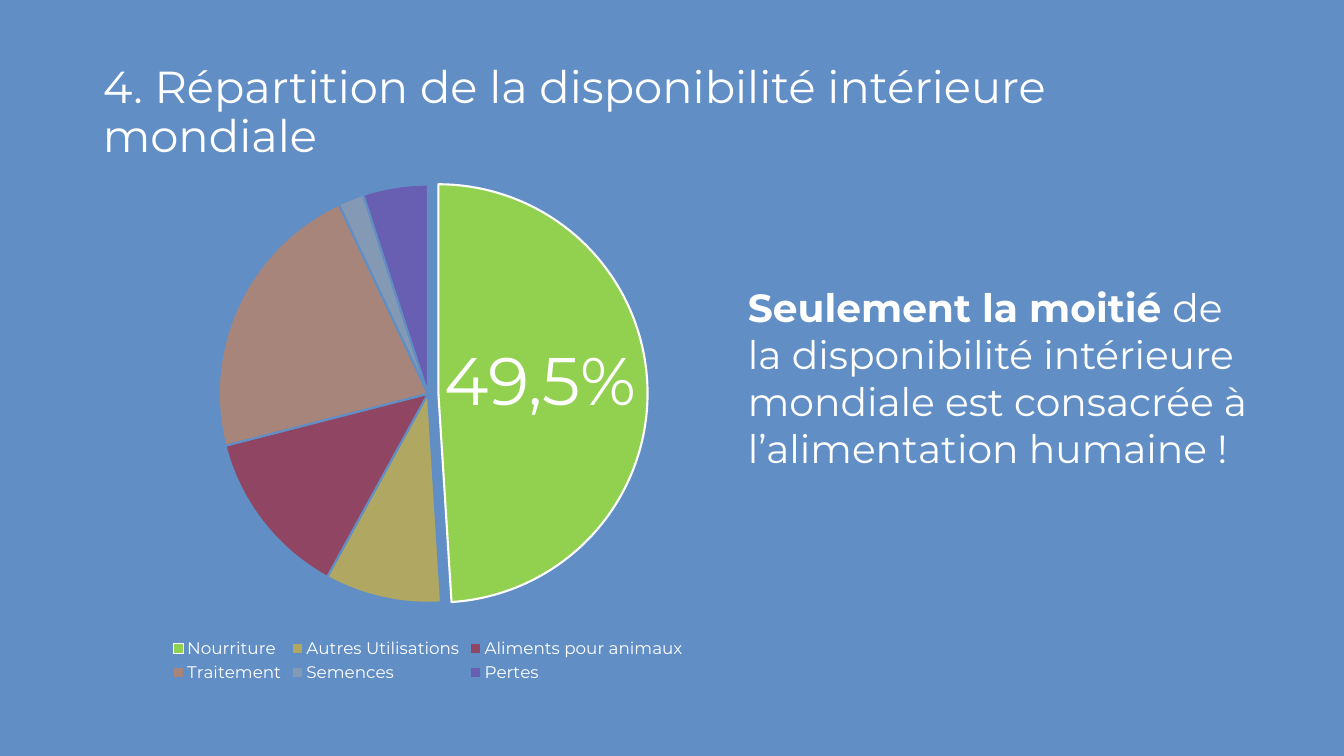
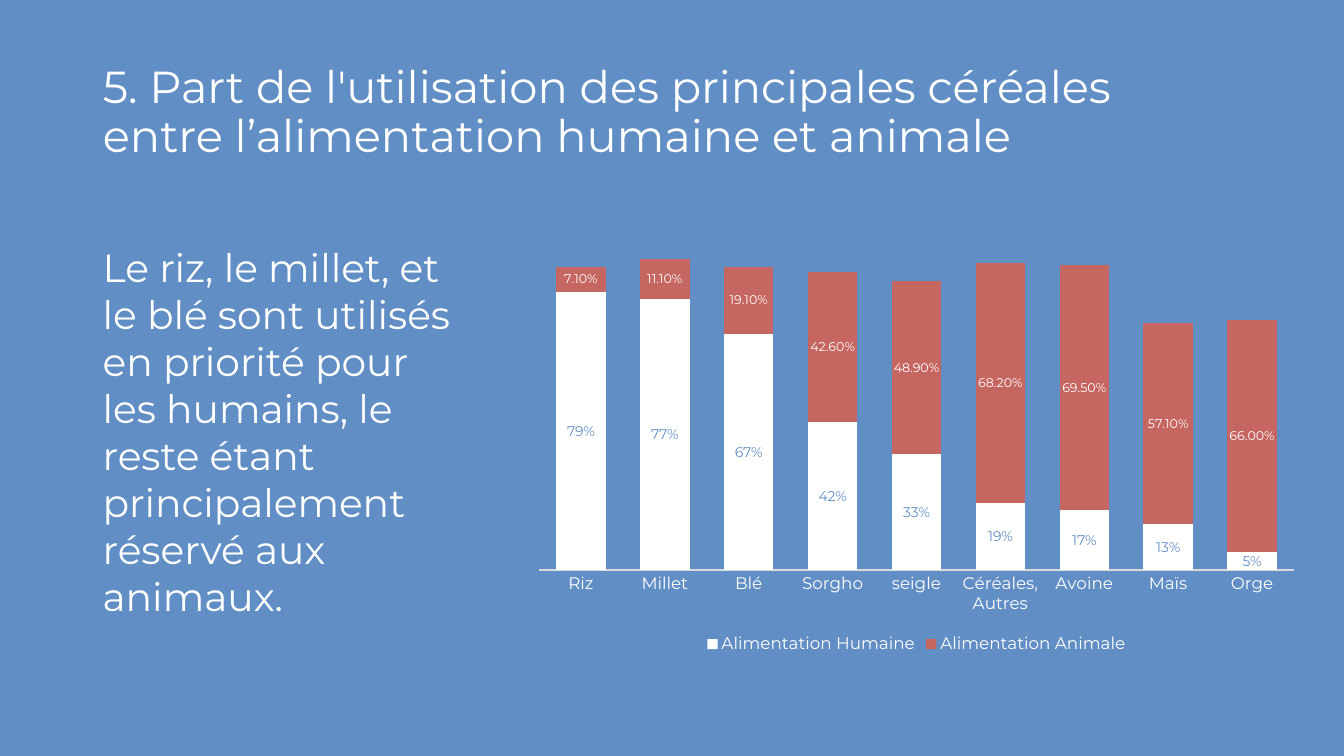
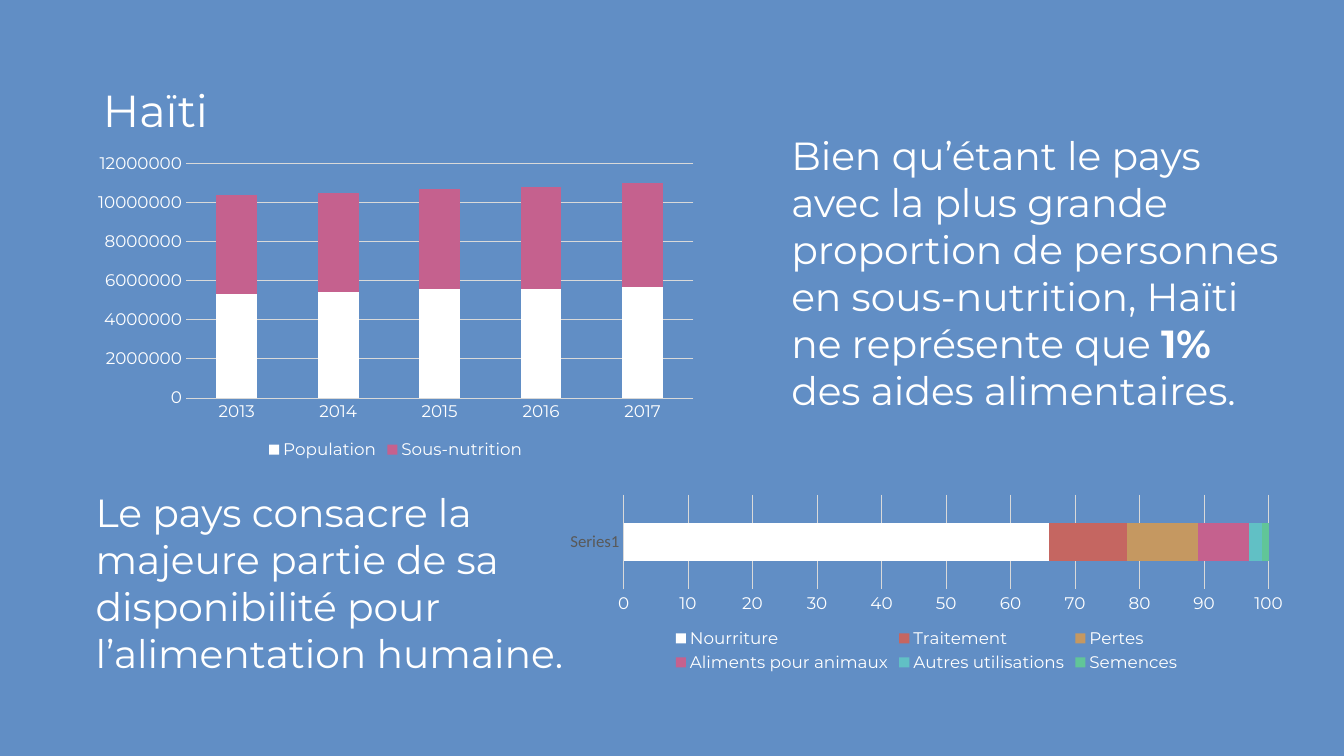
"""Build three slides on the use of the world food supply."""
from dataclasses import dataclass
from typing import Optional

from lxml.etree import SubElement
from pptx import Presentation
from pptx.chart.chart import Chart
from pptx.chart.data import CategoryChartData
from pptx.dml.color import RGBColor
from pptx.enum.chart import XL_CHART_TYPE as ChartType
from pptx.enum.chart import XL_LEGEND_POSITION as LegendPosition
from pptx.enum.chart import XL_TICK_MARK as TickMark
from pptx.enum.text import MSO_ANCHOR, MSO_AUTO_SIZE, PP_ALIGN
from pptx.oxml.ns import qn
from pptx.slide import Slide
from pptx.util import Inches, Pt

BLUE = RGBColor(0x61, 0x8E, 0xC5)
WHITE = RGBColor(0xFF, 0xFF, 0xFF)
BLACK = RGBColor(0x00, 0x00, 0x00)
RULE_GREY = RGBColor(0xD9, 0xD9, 0xD9)
TEXT_GREY = RGBColor(0x59, 0x59, 0x59)
RED = RGBColor(0xC5, 0x66, 0x61)
OCHRE = RGBColor(0xC5, 0x98, 0x61)
PINK = RGBColor(0xC5, 0x61, 0x8E)
TURQUOISE = RGBColor(0x61, 0xC0, 0xC5)
GREEN = RGBColor(0x61, 0xC5, 0x98)
FOOD_GREEN = RGBColor(0x92, 0xD0, 0x50)
YELLOW = RGBColor(0xFF, 0xC0, 0x00)
DARK_RED = RGBColor(0xC0, 0x00, 0x00)
ORANGE = RGBColor(0xED, 0x7D, 0x31)
SILVER = RGBColor(0xA5, 0xA5, 0xA5)
PURPLE = RGBColor(0x70, 0x30, 0xA0)

FONT = "Montserrat"
CHART_FONT = "Calibri"
TITLE_ONLY = 5


@dataclass(frozen=True)
class Box:
    """Position and size in inches."""

    left: float
    top: float
    width: float
    height: float

    def lengths(self) -> tuple:
        """Return the four values as lengths."""
        return tuple(map(Inches, (self.left, self.top, self.width, self.height)))


@dataclass(frozen=True)
class Labels:
    """Style of the value labels of a series."""

    size: int
    color: RGBColor
    number_format: str


@dataclass(frozen=True)
class Series:
    """Named values drawn in one colour."""

    name: str
    values: tuple
    color: RGBColor
    labels: Optional[Labels] = None


@dataclass(frozen=True)
class Slice:
    """One part of the pie."""

    name: str
    share: int
    color: RGBColor


@dataclass(frozen=True)
class Phrase:
    """Piece of text of one weight."""

    text: str
    bold: bool = False


TITLE_BOX = Box(0.92, 0.4, 11.5, 1.45)

SUPPLY_SLICES = (
    Slice("Nourriture", 49, FOOD_GREEN),
    Slice("Autres Utilisations", 9, YELLOW),
    Slice("Aliments pour animaux", 13, DARK_RED),
    Slice("Traitement", 22, ORANGE),
    Slice("Semences", 2, SILVER),
    Slice("Pertes", 5, PURPLE),
)

CEREALS = ("Riz", "Millet", "Blé", "Sorgho", "seigle", "Céréales, Autres",
           "Avoine", "Maïs", "Orge")
CEREAL_USES = (
    Series("Alimentation Humaine",
           (0.79, 0.77, 0.67, 0.42, 0.33, 0.19, 0.17, 0.13, 0.05),
           WHITE, Labels(10, BLUE, "0%")),
    Series("Alimentation Animale",
           (0.071, 0.111, 0.191, 0.426, 0.489, 0.682, 0.695, 0.571, 0.66),
           RED, Labels(9, WHITE, "0.00%")),
)

YEARS = ("2013", "2014", "2015", "2016", "2017")
HAITI_POPULATION = (
    Series("Population", (5300000, 5400000, 5600000, 5600000, 5700000), WHITE),
    Series("Sous-nutrition", (5100000, 5100000, 5100000, 5200000, 5300000), PINK),
)
HAITI_SUPPLY = (
    Series("Nourriture", (66,), WHITE),
    Series("Traitement", (12,), RED),
    Series("Pertes", (11,), OCHRE),
    Series("Aliments pour animaux", (8,), PINK),
    Series("Autres utilisations", (2,), TURQUOISE),
    Series("Semences", (1,), GREEN),
)


def style_font(font, size: float, color: RGBColor = WHITE, name: str = FONT) -> None:
    """Set size, colour and typeface."""
    font.size = Pt(size)
    font.color.rgb = color
    font.name = name


def add_titled_slide(prs, title: str) -> Slide:
    """Add a slide with the shared title style."""
    slide = prs.slides.add_slide(prs.slide_layouts[TITLE_ONLY])
    heading = slide.shapes.title
    heading.left, heading.top, heading.width, heading.height = TITLE_BOX.lengths()
    frame = heading.text_frame
    frame.text = title
    frame.word_wrap = True
    frame.auto_size = MSO_AUTO_SIZE.NONE
    frame.vertical_anchor = MSO_ANCHOR.MIDDLE
    paragraph = frame.paragraphs[0]
    paragraph.alignment = PP_ALIGN.LEFT
    paragraph.line_spacing = 0.9
    style_font(paragraph.font, 32)
    return slide


def add_message(slide: Slide, box: Box, *phrases: Phrase, size: int = 28) -> None:
    """Add a wrapped paragraph made of phrases."""
    frame = slide.shapes.add_textbox(*box.lengths()).text_frame
    frame.word_wrap = True
    frame.auto_size = MSO_AUTO_SIZE.SHAPE_TO_FIT_TEXT
    paragraph = frame.paragraphs[0]
    style_font(paragraph.font, size)
    for phrase in phrases:
        run = paragraph.add_run()
        run.text = phrase.text
        if phrase.bold:
            run.font.bold = True


def add_chart(slide: Slide, kind: ChartType, box: Box, categories: tuple,
              series: tuple) -> Chart:
    """Add a chart with the shared font and legend."""
    data = CategoryChartData()
    data.categories = categories
    for entry in series:
        data.add_series(entry.name, entry.values)
    chart = slide.shapes.add_chart(kind, *box.lengths(), data).chart
    chart.has_title = False
    style_font(chart.font, 10, BLACK, CHART_FONT)
    chart.has_legend = True
    chart.legend.position = LegendPosition.BOTTOM
    chart.legend.include_in_layout = False
    style_font(chart.legend.font, 12)
    return chart


def add_pie(slide: Slide, box: Box, slices: tuple) -> None:
    """Add a pie whose first slice stands out from the faded others."""
    shares = Series("Series 1", tuple(part.share for part in slices), FOOD_GREEN)
    chart = add_chart(slide, ChartType.PIE, box,
                      tuple(part.name for part in slices), (shares,))
    plot = chart.plots[0]
    plot.vary_by_categories = True
    for index, part in enumerate(slices):
        point = plot.series[0].points[index]
        look = point.format
        look.fill.solid()
        look.fill.fore_color.rgb = part.color
        look.line.color.rgb = BLUE if index else WHITE
        look.line.width = Pt(1.5)
        data_point = look.fill._xPr.getparent()
        if index:
            color = data_point.find(".//" + qn("a:solidFill") + "/" + qn("a:srgbClr"))
            SubElement(color, qn("a:alpha")).set("val", "50000")
        else:
            explosion = SubElement(data_point, qn("c:explosion"))
            explosion.set("val", "5")
            look.fill._xPr.addprevious(explosion)


def add_stacked_chart(slide: Slide, kind: ChartType, box: Box, categories: tuple,
                      series: tuple, gap: int = 150) -> Chart:
    """Add stacked bars or columns with plain axes."""
    chart = add_chart(slide, kind, box, categories, series)
    plot = chart.plots[0]
    plot.vary_by_categories = False
    plot.gap_width = gap
    plot.overlap = 100
    for drawn, entry in zip(plot.series, series):
        drawn.format.fill.solid()
        drawn.format.fill.fore_color.rgb = entry.color
        drawn.invert_if_negative = False
        if entry.labels:
            labels = drawn.data_labels
            labels.show_value = True
            labels.number_format = entry.labels.number_format
            labels.number_format_is_linked = False
            style_font(labels.font, entry.labels.size, entry.labels.color)
    for axis in (chart.category_axis, chart.value_axis):
        axis.major_tick_mark = axis.minor_tick_mark = TickMark.NONE
        style_font(axis.tick_labels.font, 12)
    rules = (chart.category_axis.format.line,
             chart.value_axis.major_gridlines.format.line)
    for rule in rules:
        rule.color.rgb = RULE_GREY
        rule.width = Pt(0.75)
    chart.value_axis.format.line.fill.background()
    return chart


def build_supply_slide(prs) -> None:
    """Show how the world supply is shared out."""
    slide = add_titled_slide(
        prs, "4. Répartition de la disponibilité intérieure mondiale")
    add_pie(slide, Box(0.12, 1.59, 8.25, 5.22), SUPPLY_SLICES)
    add_message(
        slide, Box(7.32, 2.76, 5.24, 1.99), Phrase("Seulement la moitié ", True),
        Phrase("de la disponibilité intérieure mondiale est consacrée à "
               "l’alimentation humaine !"))
    add_message(slide, Box(4.31, 3.31, 2.7, 0.91), Phrase("49,5%"), size=48)


def build_cereals_slide(prs) -> None:
    """Compare human and animal use of cereals."""
    slide = add_titled_slide(
        prs, "5. Part de l'utilisation des principales céréales entre "
             "l’alimentation humaine et animale")
    chart = add_stacked_chart(slide, ChartType.COLUMN_STACKED,
                              Box(5.19, 2.07, 7.8, 4.46), CEREALS, CEREAL_USES, 70)
    chart.value_axis.has_major_gridlines = False
    chart.value_axis.maximum_scale = 1
    chart.value_axis.visible = False
    add_message(
        slide, Box(0.92, 2.36, 3.7, 3.87),
        Phrase("Le riz, le millet, et le blé sont utilisés en priorité pour les "
               "humains, le reste étant principalement réservé aux animaux."))


def build_haiti_slide(prs) -> None:
    """Show undernourishment and food supply in Haiti."""
    slide = add_titled_slide(prs, "Haïti")
    add_stacked_chart(slide, ChartType.COLUMN_STACKED, Box(0.85, 1.46, 6.15, 3.14),
                      YEARS, HAITI_POPULATION)
    add_message(
        slide, Box(7.75, 1.25, 5.11, 2.93),
        Phrase("Bien qu’étant le pays avec la plus grande proportion de personnes "
               "en sous-nutrition, Haïti ne représente que "),
        Phrase("1% ", True), Phrase("des aides alimentaires."))
    supply = add_stacked_chart(slide, ChartType.BAR_STACKED,
                               Box(5.51, 4.87, 7.36, 1.84), ("Series1",), HAITI_SUPPLY)
    supply.value_axis.maximum_scale = 100
    supply.value_axis.major_unit = 10
    style_font(supply.category_axis.tick_labels.font, 12, TEXT_GREY, CHART_FONT)
    add_message(
        slide, Box(0.85, 4.79, 5.39, 1.99),
        Phrase("Le pays consacre la majeure partie de sa disponibilité pour "
               "l’alimentation humaine."))


def main() -> None:
    """Build and save the presentation."""
    prs = Presentation()
    prs.slide_width, prs.slide_height = Inches(13.33), Inches(7.5)
    backdrop = prs.slide_master.background.fill
    backdrop.solid()
    backdrop.fore_color.rgb = BLUE
    build_supply_slide(prs)
    build_cereals_slide(prs)
    build_haiti_slide(prs)
    prs.save("out.pptx")


if __name__ == "__main__":
    main()
